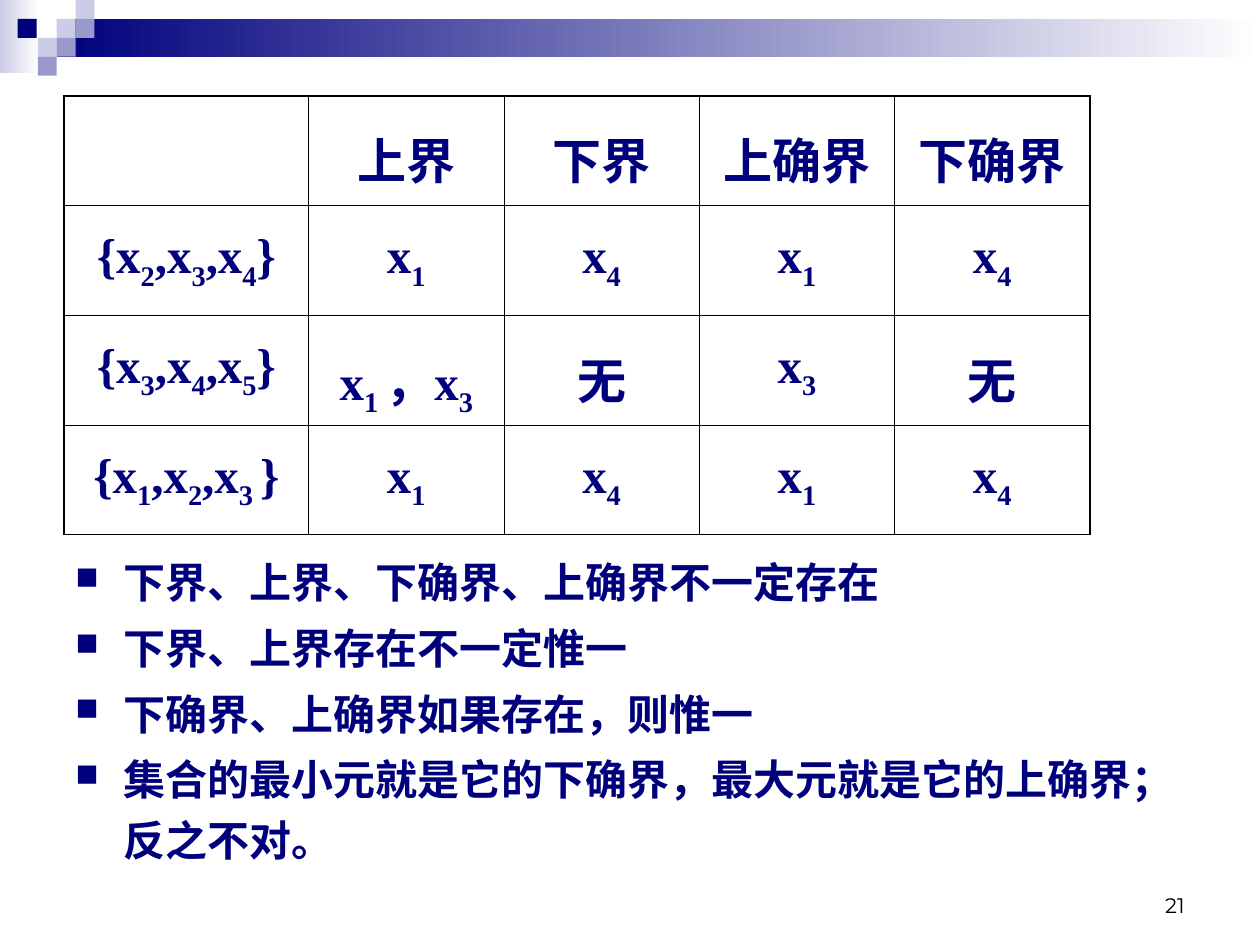
"""Build a slide with a table of bounds and four remarks about them."""
from dataclasses import dataclass
from itertools import groupby
from typing import Optional

from lxml.etree import SubElement
from pptx import Presentation
from pptx.dml.color import RGBColor
from pptx.enum.lang import MSO_LANGUAGE_ID
from pptx.enum.shapes import MSO_SHAPE
from pptx.enum.text import MSO_ANCHOR, PP_ALIGN
from pptx.oxml import parse_xml
from pptx.oxml.ns import nsdecls, qn
from pptx.util import Emu, Pt

EMU_PER_PX = 9144
NAVY = RGBColor(0x00, 0x00, 0x7D)
LAVENDER = RGBColor(0xCC, 0xCC, 0xE6)
PERIWINKLE = RGBColor(0x99, 0x99, 0xCC)
WHITE = RGBColor(0xFF, 0xFF, 0xFF)
BLACK = RGBColor(0x00, 0x00, 0x00)
SERIF = "Times New Roman"
SANS = "Montserrat"
OUTER_LINE = 1.08
INNER_LINE = 0.45


@dataclass(frozen=True)
class Block:
    left: int
    top: int
    width: int
    height: int
    color: RGBColor
    fades: bool = False


BLOCKS = [
    Block(0, 0, 31, 58, LAVENDER, fades=True),
    Block(45, 15, 955, 30, NAVY, fades=True),
    Block(45, 15, 15, 15, LAVENDER),
    Block(60, 0, 15, 15, LAVENDER),
    Block(60, 15, 15, 15, PERIWINKLE),
    Block(30, 30, 15, 15, LAVENDER),
    Block(14, 15, 15, 15, NAVY),
    Block(45, 30, 15, 15, PERIWINKLE),
    Block(30, 45, 15, 15, PERIWINKLE),
]
COLUMN_WIDTHS = [194, 155, 155, 155, 155]
ROW_HEIGHT = 87
BOUNDS = [
    ["", "上界", "下界", "上确界", "下确界"],
    ["{x2,x3,x4}", "x1", "x4", "x1", "x4"],
    ["{x3,x4,x5}", "x1 ，x3", "无", "x3", "无"],
    ["{x1,x2,x3 }", "x1", "x4", "x1", "x4"],
]
REMARKS = [
    "下界、上界、下确界、上确界不一定存在",
    "下界、上界存在不一定惟一",
    "下确界、上确界如果存在，则惟一",
    "集合的最小元就是它的下确界，最大元就是它的上确界；反之不对。",
]


def px(length: int) -> Emu:
    return Emu(length * EMU_PER_PX)


def write(paragraph, text: str, *, size: int, font: str = SERIF,
          color: RGBColor = NAVY, bold: bool = True,
          align: Optional[PP_ALIGN] = None, spacing: Optional[float] = None,
          before: int = 0, subscripts: bool = False) -> None:
    paragraph.alignment = align
    paragraph.line_spacing = spacing
    paragraph.space_before = Pt(before)
    groups = groupby(text, lambda letter: subscripts and letter in "0123456789 ")
    for lowered, letters in groups:
        span = paragraph.add_run()
        span.text = "".join(letters)
        span.font.name = font
        span.font.size = Pt(size)
        span.font.bold = bold
        span.font.color.rgb = color
        span.font.language_id = MSO_LANGUAGE_ID.SIMPLIFIED_CHINESE
        if lowered:
            span._r.get_or_add_rPr().set("baseline", "-25000")


def draw_block(page, block: Block) -> None:
    shape = page.shapes.add_shape(
        MSO_SHAPE.RECTANGLE, px(block.left), px(block.top),
        px(block.width), px(block.height))
    shape.shadow.inherit = False
    shape.line.fill.background()
    if block.fades:
        shape.fill.gradient()
        shape.fill.gradient_angle = 180
        for stop, color in zip(shape.fill.gradient_stops, (WHITE, block.color)):
            stop.color.rgb = color
    else:
        shape.fill.solid()
        shape.fill.fore_color.rgb = block.color


def set_borders(cell, outer_sides: dict[str, bool]) -> None:
    properties = cell._tc.get_or_add_tcPr()
    for index, (side, outer) in enumerate(outer_sides.items()):
        width = Pt(OUTER_LINE if outer else INNER_LINE)
        properties.insert(index, parse_xml(
            f'<a:ln{side} {nsdecls("a")} w="{width}"><a:solidFill>'
            f'<a:srgbClr val="{BLACK}"/></a:solidFill></a:ln{side}>'))


def draw_table(page) -> None:
    last_row, last_column = len(BOUNDS) - 1, len(COLUMN_WIDTHS) - 1
    table = page.shapes.add_table(
        len(BOUNDS), len(COLUMN_WIDTHS), px(51), px(76),
        px(sum(COLUMN_WIDTHS)), px(ROW_HEIGHT * len(BOUNDS))).table
    table.first_row = table.horz_banding = False
    for column, width in zip(table.columns, COLUMN_WIDTHS):
        column.width = px(width)
    for r, texts in enumerate(BOUNDS):
        table.rows[r].height = px(ROW_HEIGHT)
        for c, text in enumerate(texts):
            cell = table.cell(r, c)
            cell.fill.background()
            set_borders(cell, {"L": c == 0, "R": c == last_column,
                               "T": r == 0, "B": r == last_row})
            write(cell.text_frame.paragraphs[0], text, size=28,
                  align=PP_ALIGN.CENTER, spacing=1.3, subscripts=True)


def add_box(page, left: int, top: int, width: int, height: int):
    box = page.shapes.add_textbox(px(left), px(top), px(width), px(height))
    box.text_frame.word_wrap = True
    return box.text_frame


def add_bullet(paragraph) -> None:
    properties = paragraph._p.get_or_add_pPr()
    properties.set("marL", str(px(38)))
    properties.set("indent", str(px(-38)))
    bullet_color = SubElement(properties, qn("a:buClr"))
    SubElement(bullet_color, qn("a:srgbClr"), val=str(NAVY))
    SubElement(properties, qn("a:buSzPct"), val="75000")
    SubElement(properties, qn("a:buChar"), char="■")


def draw_remarks(page) -> None:
    frame = add_box(page, 50, 429, 907, 277)
    for index, remark in enumerate(REMARKS):
        paragraph = frame.add_paragraph() if index else frame.paragraphs[0]
        add_bullet(paragraph)
        write(paragraph, remark, size=24, spacing=1.2, before=3 if index else 0)


def draw_page_number(page) -> None:
    frame = add_box(page, 717, 683, 233, 50)
    frame.vertical_anchor = MSO_ANCHOR.BOTTOM
    write(frame.paragraphs[0], "21", size=12, font=SANS, color=BLACK,
          bold=False, align=PP_ALIGN.RIGHT)


def main() -> None:
    deck = Presentation()
    deck.slide_width, deck.slide_height = px(1000), px(750)
    page = deck.slides.add_slide(deck.slide_layouts[6])
    for block in BLOCKS:
        draw_block(page, block)
    draw_table(page)
    draw_remarks(page)
    draw_page_number(page)
    deck.save("out.pptx")


if __name__ == "__main__":
    main()
